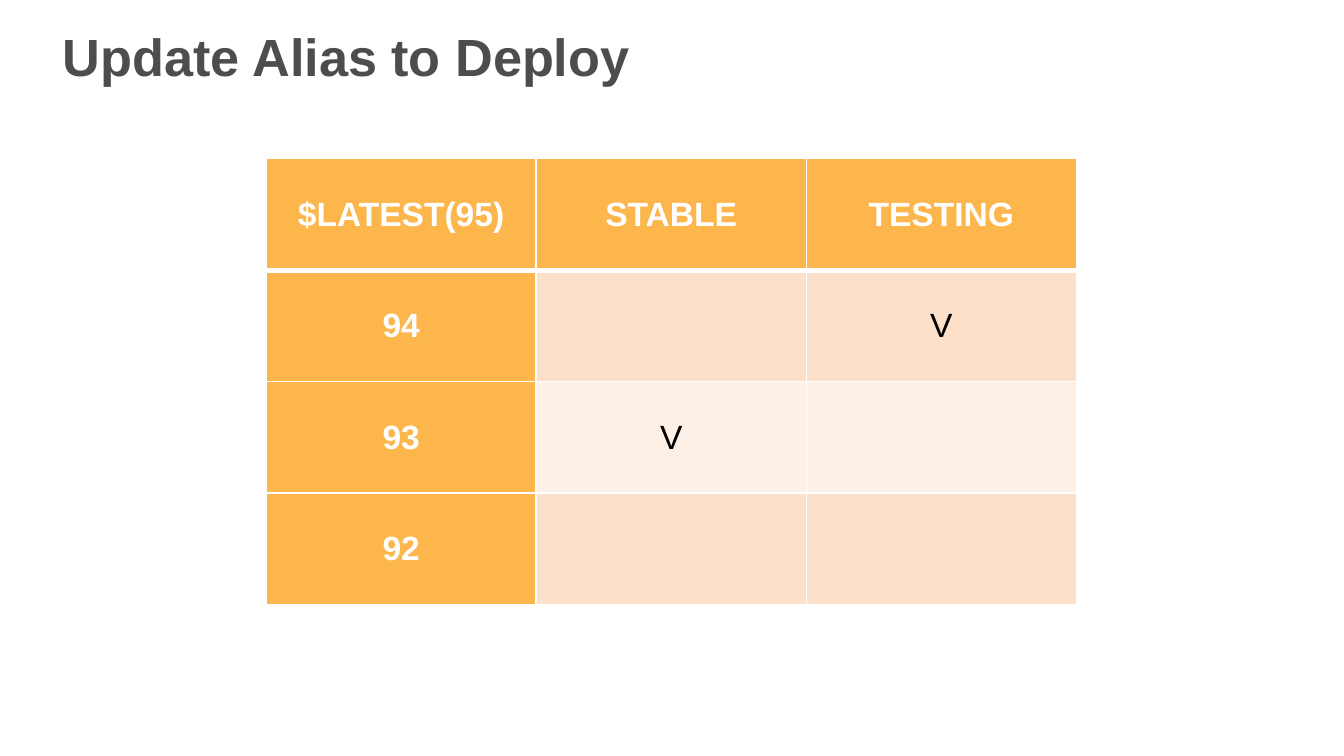
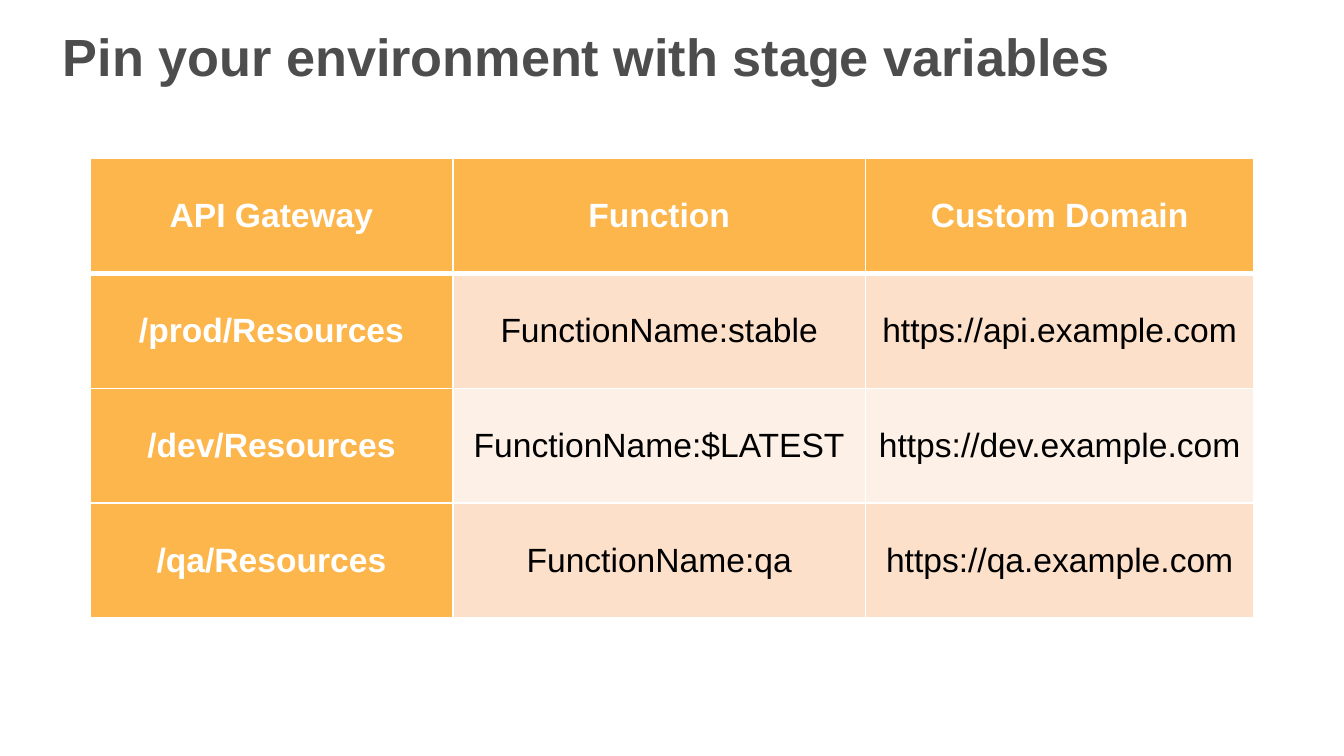
from dataclasses import dataclass

from lxml import etree
from pptx import Presentation
from pptx.dml.color import RGBColor
from pptx.enum.text import MSO_ANCHOR, PP_ALIGN
from pptx.oxml.ns import qn
from pptx.util import Inches, Pt

CENTER = PP_ALIGN.CENTER
LEFT = PP_ALIGN.LEFT
MIDDLE = MSO_ANCHOR.MIDDLE
TOP = MSO_ANCHOR.TOP
BLANK_LAYOUT = 6


@dataclass(frozen=True)
class Theme:
    """Colours, type and line widths shared by the slides."""
    font: str = "Arial"
    title_size: int = 28
    table_size: int = 18
    title_color: str = "4C4D4C"
    accent: str = "FCB64C"
    bands: tuple = ("FCE0CA", "FDF0E6")
    light: str = "FFFFFF"
    dark: str = "000000"
    grid_width: int = 1
    header_rule_width: int = 3


@dataclass(frozen=True)
class Box:
    """A region of a slide, in inches."""
    left: float
    top: float
    width: float
    height: float

    def lengths(self):
        """Return the region as left, top, width and height lengths."""
        return [Inches(value) for value in (self.left, self.top, self.width, self.height)]


THEME = Theme()
TITLE_BOX = Box(0.37, 0.13, 8.97, 0.6)

ALIAS_ROWS = [
    ["$LATEST(95)", "STABLE", "TESTING"],
    ["94", "", "V"],
    ["93", "V", ""],
    ["92", "", ""],
]
STAGE_ROWS = [
    ["API Gateway", "Function", "Custom Domain"],
    ["/prod/Resources", "FunctionName:stable", "https://api.example.com"],
    ["/dev/Resources", "FunctionName:$LATEST", "https://dev.example.com"],
    ["/qa/Resources", "FunctionName:qa", "https://qa.example.com"],
]
TABLE_SLIDES = [
    ("Update Alias to Deploy", Box(1.98, 1.18, 6.03, 3.32), [2.01, 2.01, 2.01], ALIAS_ROWS),
    ("Pin your environment with stage variables", Box(0.67, 1.18, 8.66, 3.42),
     [2.7, 3.07, 2.89], STAGE_ROWS),
]


def write_text(text_frame, text, size, color, bold, alignment):
    """Write one styled run into the first paragraph of a text frame."""
    paragraph = text_frame.paragraphs[0]
    paragraph.alignment = alignment
    run = paragraph.add_run()
    run.text = text
    run.font.name = THEME.font
    run.font.size = Pt(size)
    run.font.bold = bold
    run.font.color.rgb = RGBColor.from_string(color)


def add_title(slide, box, text):
    """Place the slide title at the top of its box."""
    text_frame = slide.shapes.add_textbox(*box.lengths()).text_frame
    text_frame.word_wrap = True
    text_frame.vertical_anchor = TOP
    write_text(text_frame, text, THEME.title_size, THEME.title_color, True, LEFT)


def set_borders(cell, top_width, bottom_width):
    """Draw the four borders of a cell ahead of its fill."""
    properties = cell._tc.get_or_add_tcPr()
    widths = {"a:lnL": THEME.grid_width, "a:lnR": THEME.grid_width,
              "a:lnT": top_width, "a:lnB": bottom_width}
    for index, (tag, width) in enumerate(widths.items()):
        line = etree.Element(qn(tag), w=str(Pt(width)))
        fill = etree.SubElement(line, qn("a:solidFill"))
        etree.SubElement(fill, qn("a:srgbClr"), val=THEME.light)
        properties.insert(index, line)


def style_cell(cell, text, row_index, column_index):
    """Fill, border and write a cell according to its place in the table."""
    is_heading = row_index == 0 or column_index == 0
    band = THEME.bands[(row_index - 1) % len(THEME.bands)]
    cell.fill.solid()
    cell.fill.fore_color.rgb = RGBColor.from_string(THEME.accent if is_heading else band)
    set_borders(cell,
                THEME.header_rule_width if row_index == 1 else THEME.grid_width,
                THEME.header_rule_width if row_index == 0 else THEME.grid_width)
    cell.vertical_anchor = MIDDLE
    cell.margin_left = cell.margin_right = cell.margin_top = cell.margin_bottom = 0
    if text:
        color = THEME.light if is_heading else THEME.dark
        write_text(cell.text_frame, text, THEME.table_size, color, is_heading, CENTER)


def add_table(slide, box, column_widths, rows):
    """Place a table with equal rows and headings on its top and left."""
    table = slide.shapes.add_table(len(rows), len(column_widths), *box.lengths()).table
    table.first_col = True
    for column, width in zip(table.columns, column_widths):
        column.width = Inches(width)
    for row_index, texts in enumerate(rows):
        table.rows[row_index].height = Inches(box.height / len(rows))
        for column_index, text in enumerate(texts):
            style_cell(table.cell(row_index, column_index), text, row_index, column_index)


def add_table_slide(presentation, title, table_box, column_widths, rows):
    """Add a slide with a title above a table."""
    slide = presentation.slides.add_slide(presentation.slide_layouts[BLANK_LAYOUT])
    add_table(slide, table_box, column_widths, rows)
    add_title(slide, TITLE_BOX, title)


def main():
    """Build the presentation and save it."""
    presentation = Presentation()
    presentation.slide_width = Inches(10)
    presentation.slide_height = Inches(10 * 9 / 16)
    for content in TABLE_SLIDES:
        add_table_slide(presentation, *content)
    presentation.save("out.pptx")


if __name__ == "__main__":
    main()
